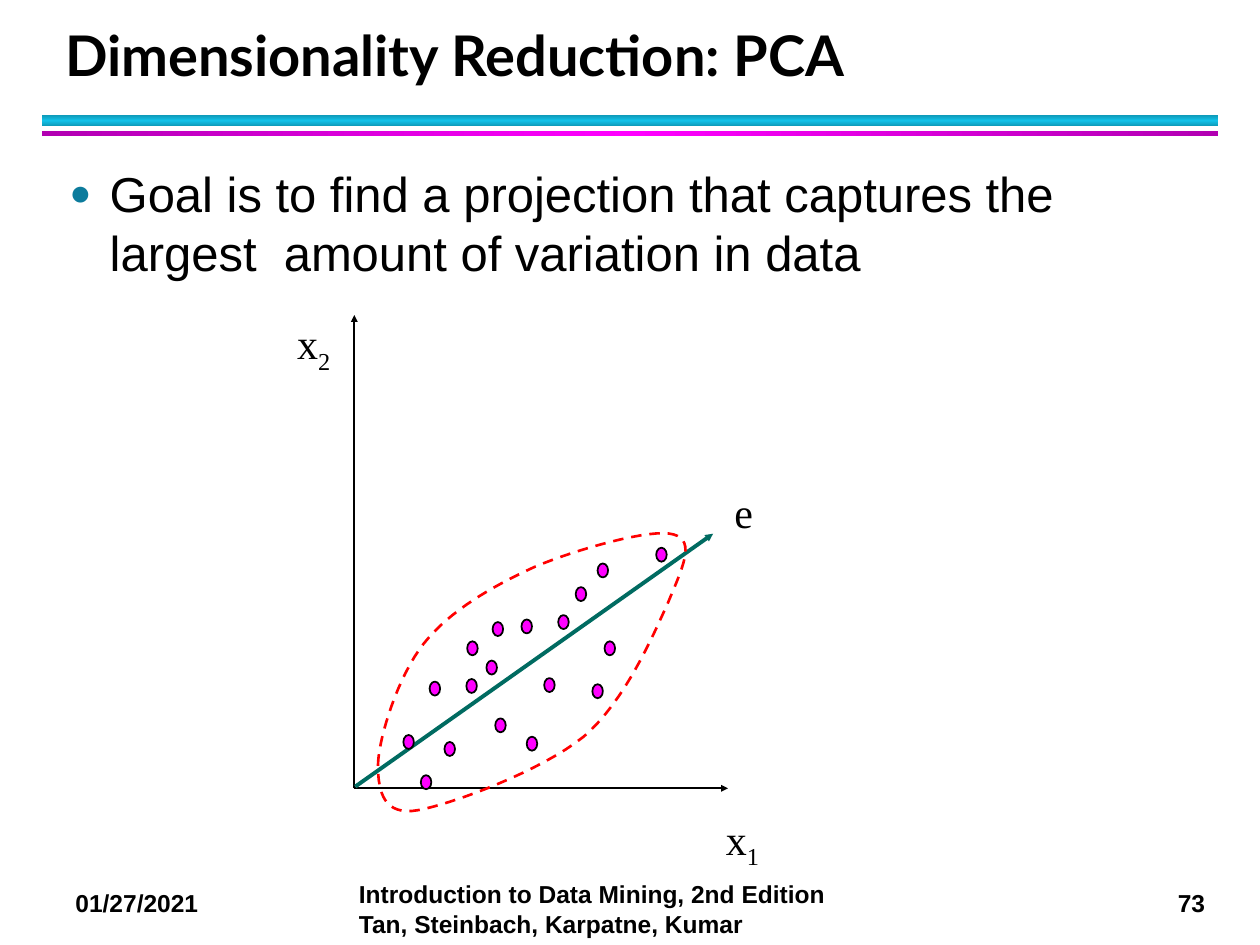
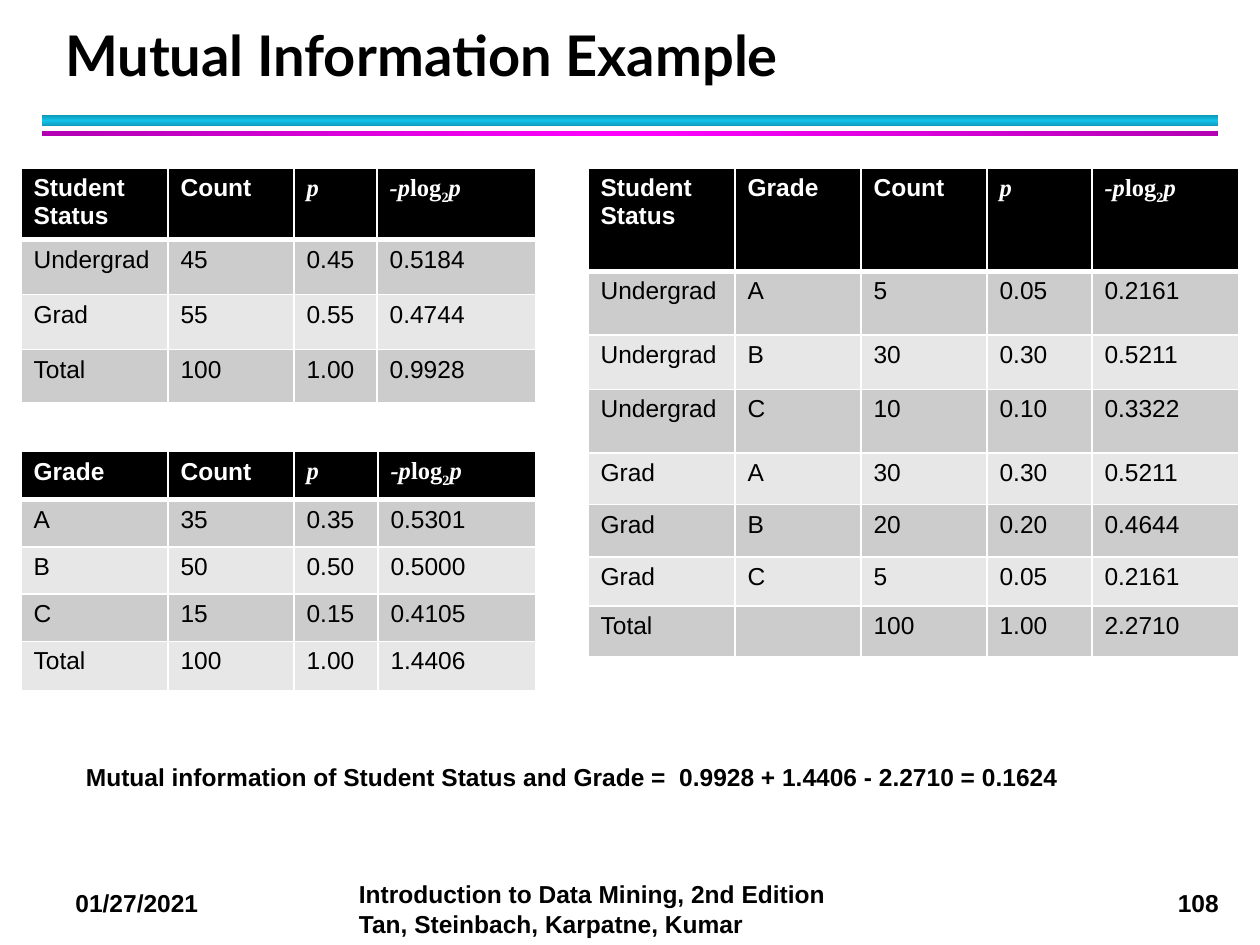
from copy import deepcopy
from dataclasses import dataclass

from lxml.etree import SubElement
from pptx import Presentation
from pptx.dml.color import RGBColor
from pptx.enum.dml import MSO_LINE
from pptx.enum.shapes import MSO_CONNECTOR, MSO_SHAPE
from pptx.enum.text import MSO_ANCHOR, MSO_AUTO_SIZE, PP_ALIGN
from pptx.oxml.ns import qn
from pptx.util import Pt


@dataclass(frozen=True)
class Theme:
    black: str = "000000"
    white: str = "FFFFFF"
    cyan: tuple = ("0E9BBA", "12C2E9", "0E9BBA")
    magenta: tuple = ("B200B2", "FF00FF", "B200B2")
    bullet: str = "0C7B9C"
    vector: str = "006B61"
    dot: str = "FF00FF"
    outline: str = "FF0000"
    bands: tuple = ("CCCCCC", "E7E7E7")
    sans: str = "Arial"
    serif: str = "Times New Roman"
    heading: str = "Lato"
    title: int = 32
    body: int = 28
    label: int = 24
    small: int = 14


T = Theme()

# Footer: text, box (left, top, width, height)
DATE = ("01/27/2021", (36, 504, 96, 24.5))
BOOK = ("Introduction to Data Mining, 2nd Edition\vTan, Steinbach, Karpatne, Kumar",
        (198, 499, 294, 41))
NUMBER_BOX = (666, 504, 42, 24.5)
# Title rule: colours, gradient angle, box
RULES = [(T.cyan, 90, (24, 66, 672, 6)), (T.magenta, 0, (24, 75, 672, 3))]

GOAL = "Goal is to find a projection that captures the largest  amount of variation in data"
ORIGIN = (202.5, 450.5)
# Arrows: start, end, colour, width
ARROWS = [
    (ORIGIN, (202.5, 180), T.black, 1),
    (ORIGIN, (416, 450.5), T.black, 1),
    ((203, 449.5), (407.5, 305), T.vector, 2.25),
]
DOT_SIZE = (6, 8)
DOTS = [
    (245.5, 389.5), (267, 366.5), (230.5, 420), (278, 377.5), (266.5, 388), (311, 387.5),
    (301, 421), (283, 410.5), (298, 354), (345.5, 366.5), (375, 313), (254, 424),
    (319, 351.5), (341.5, 322), (281.5, 355.5), (329, 335.5), (338.5, 391), (240.5, 443),
]
# Cloud outline: start, then two control points and an end point for each curve
CLOUD_START = (216, 437)
CLOUD_CURVES = [
    ((216.5, 421), (227.5, 386.5), (242, 368)),
    ((257, 349), (281.5, 335), (305.5, 324)),
    ((329, 314), (373, 301.5), (385, 305.5)),
    ((398, 309), (389.5, 325.5), (381.5, 345)),
    ((373, 363.5), (357, 401), (333.5, 421)),
    ((309.5, 440.5), (258.5, 459.5), (239, 463)),
    ((219.5, 466.5), (216, 453), CLOUD_START),
]
# Runs are (text, style): b bold, i italic, s subscript, t serif
AXIS_LABELS = [
    ([("x", "t"), ("2", "ts")], (162, 180, 34.5, 36)),
    ([("x", "t"), ("1", "ts")], (407, 463, 34.5, 36)),
    ([("e", "t")], (412.5, 274.5, 25, 36)),
]

P_HEAD = [("p", "bit")]
ENTROPY_HEAD = [("-p", "bit"), ("log", "bt"), ("2", "bts"), ("p", "bit")]
TABLES = [
    dict(at=(12, 96), cols=[84, 72, 47.5, 90.5], rows=[31.5, 31.5, 31.5, 30.5], cells=[
        ["Student Status", "Count", P_HEAD, ENTROPY_HEAD],
        ["Undergrad", "45", "0.45", "0.5184"],
        ["Grad", "55", "0.55", "0.4744"],
        ["Total", "100", "1.00", "0.9928"],
    ]),
    dict(at=(12, 258), cols=[84, 72, 48, 90], rows=[27.5, 27, 27, 27, 28.5], cells=[
        ["Grade", "Count", P_HEAD, ENTROPY_HEAD],
        ["A", "35", "0.35", "0.5301"],
        ["B", "50", "0.50", "0.5000"],
        ["C", "15", "0.15", "0.4105"],
        ["Total", "100", "1.00", "1.4406"],
    ]),
    dict(at=(336, 96), cols=[84, 72, 72, 60, 84],
         rows=[59, 36.5, 31, 36.5, 29.5, 30, 28, 28], cells=[
        ["Student Status", "Grade", "Count", P_HEAD, ENTROPY_HEAD],
        ["Undergrad", "A", "5", "0.05", "0.2161"],
        ["Undergrad", "B", "30", "0.30", "0.5211"],
        ["Undergrad", "C", "10", "0.10", "0.3322"],
        ["Grad", "A", "30", "0.30", "0.5211"],
        ["Grad", "B", "20", "0.20", "0.4644"],
        ["Grad", "C", "5", "0.05", "0.2161"],
        ["Total", "", "100", "1.00", "2.2710"],
    ]),
]
RESULT = ("Mutual information of Student Status and Grade =  0.9928 + 1.4406 - 2.2710 = 0.1624",
          (42, 432, 630, 24.5))


def rgb(code):
    return RGBColor.from_string(code)


def pts(values):
    return [Pt(v) for v in values]


def add_runs(p, runs, size, color=T.black, font=T.sans):
    for text, style in runs:
        for i, line in enumerate(text.split("\v")):
            if i:
                p.add_line_break()
            r = p.add_run()
            r.text = line
            r.font.size = Pt(size)
            r.font.name = T.serif if "t" in style else font
            r.font.bold = "b" in style
            r.font.italic = "i" in style
            r.font.color.rgb = rgb(color)
            if "s" in style:
                r.font._element.set("baseline", "-25000")


def add_small_text(s, text, box):
    tf = s.shapes.add_textbox(*pts(box)).text_frame
    tf.word_wrap = True
    add_runs(tf.paragraphs[0], [(text, "b")], T.small)


def place(ph, box):
    ph.left, ph.top, ph.width, ph.height = pts(box)
    tf = ph.text_frame
    tf.auto_size = MSO_AUTO_SIZE.NONE
    tf.word_wrap = True
    return tf


def add_rule(s, colors, angle, box):
    sp = s.shapes.add_shape(MSO_SHAPE.RECTANGLE, *pts(box))
    sp.shadow.inherit = False
    sp.line.fill.background()
    sp.fill.gradient()
    sp.fill.gradient_angle = angle
    stops = sp._element.spPr.find(qn("a:gradFill")).find(qn("a:gsLst"))
    stops.append(deepcopy(stops[0]))
    for i, (stop, color) in enumerate(zip(sp.fill.gradient_stops, colors)):
        stop.position = i / 2
        stop.color.rgb = rgb(color)


def new_slide(prs, layout, title, number):
    """Add a slide with the shared rules, footer and title."""
    s = prs.slides.add_slide(prs.slide_layouts[layout])
    for rule in RULES:
        add_rule(s, *rule)
    for text, box in (DATE, BOOK, (number, NUMBER_BOX)):
        add_small_text(s, text, box)
    tf = place(s.shapes.title, (30, 12, 652.5, 42))
    tf.vertical_anchor = MSO_ANCHOR.BOTTOM
    p = tf.paragraphs[0]
    p.alignment = PP_ALIGN.LEFT
    p.line_spacing = Pt(36)
    add_runs(p, [(title, "b")], T.title, font=T.heading)
    return s


def add_bullet(p, text):
    p.line_spacing = 1.0
    p.space_before = Pt(0)
    p.space_after = Pt(4)
    pPr = p._p.get_or_add_pPr()
    pPr.set("marL", str(Pt(23)))
    pPr.set("indent", str(-Pt(23)))
    SubElement(SubElement(pPr, qn("a:buClr")), qn("a:srgbClr"), val=T.bullet)
    SubElement(pPr, qn("a:buSzPct"), val="75000")
    SubElement(pPr, qn("a:buFont"), typeface=T.sans)
    SubElement(pPr, qn("a:buChar"), char="●")
    add_runs(p, [(text, "")], T.body)


def add_arrow(s, start, end, color, width):
    c = s.shapes.add_connector(MSO_CONNECTOR.STRAIGHT, *pts(start + end))
    c.line.color.rgb = rgb(color)
    c.line.width = Pt(width)
    SubElement(c.line._get_or_add_ln(), qn("a:tailEnd"), type="triangle", w="sm", len="sm")
    SubElement(c._element.spPr, qn("a:effectLst"))


def add_dot(s, at):
    sp = s.shapes.add_shape(MSO_SHAPE.OVAL, *pts(at + DOT_SIZE))
    sp.shadow.inherit = False
    sp.fill.solid()
    sp.fill.fore_color.rgb = rgb(T.dot)
    sp.line.color.rgb = rgb(T.black)
    sp.line.width = Pt(1)


def curve_points(start, curves, steps=16):
    """Sample a chain of cubic Bezier curves."""
    points = []
    for a, b, end in curves:
        for k in range(1, steps + 1):
            t = k / steps
            u = 1 - t
            points.append(tuple(
                Pt(u**3 * p0 + 3 * u * u * t * p1 + 3 * u * t * t * p2 + t**3 * p3)
                for p0, p1, p2, p3 in zip(start, a, b, end)))
        start = end
    return points


def add_cloud_outline(s):
    fb = s.shapes.build_freeform(*pts(CLOUD_START))
    fb.add_line_segments(curve_points(CLOUD_START, CLOUD_CURVES), close=True)
    sp = fb.convert_to_shape()
    sp.shadow.inherit = False
    sp.fill.background()
    sp.line.color.rgb = rgb(T.outline)
    sp.line.width = Pt(1.5)
    sp.line.dash_style = MSO_LINE.DASH


def add_axis_label(s, runs, box):
    tf = s.shapes.add_textbox(*pts(box)).text_frame
    tf.word_wrap = False
    tf.vertical_anchor = MSO_ANCHOR.MIDDLE
    p = tf.paragraphs[0]
    p.alignment = PP_ALIGN.CENTER
    add_runs(p, runs, T.label)


def set_borders(cell, widths):
    tcPr = cell._tc.get_or_add_tcPr()
    for i, (side, width) in enumerate(widths.items()):
        ln = SubElement(tcPr, qn("a:ln" + side), w=str(Pt(width)))
        SubElement(SubElement(ln, qn("a:solidFill")), qn("a:srgbClr"), val=T.white)
        tcPr.insert(i, ln)


def add_data_table(s, at, cols, rows, cells):
    box = pts(at + (sum(cols), sum(rows)))
    table = s.shapes.add_table(len(rows), len(cols), *box).table
    for col, width in zip(table.columns, cols):
        col.width = Pt(width)
    for i, (row, height) in enumerate(zip(table.rows, rows)):
        row.height = Pt(height)
        head = i == 0
        fill = T.black if head else T.bands[(i - 1) % 2]
        for cell, content in zip(row.cells, cells[i]):
            cell.fill.solid()
            cell.fill.fore_color.rgb = rgb(fill)
            set_borders(cell, dict(L=1, R=1, T=3 if i == 1 else 1, B=3 if head else 1))
            runs = [(content, "b" if head else "")] if isinstance(content, str) else content
            add_runs(cell.text_frame.paragraphs[0], runs, T.small,
                     T.white if head else T.black)


def build_pca(prs):
    s = new_slide(prs, 1, "Dimensionality Reduction: PCA", "73")
    tf = place(s.placeholders[1], (32.5, 90, 655, 408))
    add_bullet(tf.paragraphs[0], GOAL)
    for arrow in ARROWS:
        add_arrow(s, *arrow)
    for at in DOTS:
        add_dot(s, at)
    add_cloud_outline(s)
    for runs, box in AXIS_LABELS:
        add_axis_label(s, runs, box)


def build_mutual_information(prs):
    s = new_slide(prs, 5, "Mutual Information Example", "108")
    for table in TABLES:
        add_data_table(s, **table)
    add_small_text(s, *RESULT)


def main():
    prs = Presentation()
    prs.slide_width, prs.slide_height = Pt(720), Pt(540)
    build_pca(prs)
    build_mutual_information(prs)
    prs.save("out.pptx")


if __name__ == "__main__":
    main()
